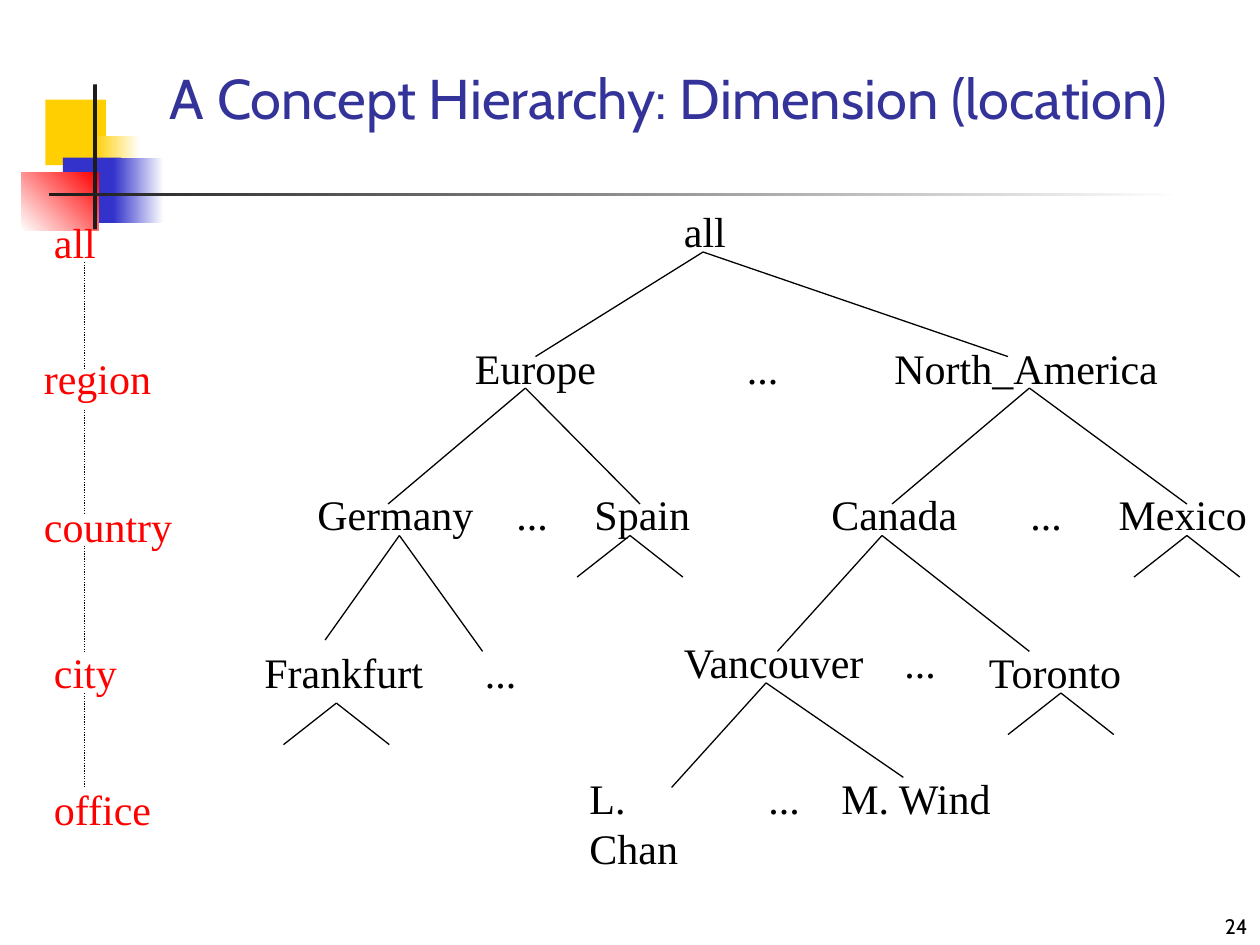
from lxml import etree
from pptx import Presentation
from pptx.dml.color import RGBColor
from pptx.enum import dml, shapes, text
from pptx.oxml.ns import qn
from pptx.util import Inches, Pt


def rgb(value):
    return RGBColor.from_string(value)


class HierarchySlide:
    title_font = "Cabin"
    label_font = "Times New Roman"
    black, red = "000000", "FF0000"

    def __init__(self, slide):
        self.s = slide

    def block(self, left, top, width, height, color, end=None, angle=0):
        sp = self.s.shapes.add_shape(
            shapes.MSO_SHAPE.RECTANGLE,
            Inches(left), Inches(top), Inches(width), Inches(height))
        sp.shadow.inherit = False
        sp.line.fill.background()
        if end is None:
            sp.fill.solid()
            sp.fill.fore_color.rgb = rgb(color)
            return
        sp.fill.gradient()
        sp.fill.gradient_angle = angle
        for stop, shade, position in zip(sp.fill.gradient_stops, (color, end), (0, 1)):
            stop.color.rgb = rgb(shade)
            stop.position = position

    def textbox(self, words, left, top, width, height, font, size, color,
                align=text.PP_ALIGN.LEFT, anchor=text.MSO_ANCHOR.BOTTOM, wrap=True):
        sp = self.s.shapes.add_textbox(
            Inches(left), Inches(top), Inches(width), Inches(height))
        tf = sp.text_frame
        tf.word_wrap = wrap
        tf.vertical_anchor = anchor
        p = tf.paragraphs[0]
        p.alignment = align
        r = p.add_run()
        r.text = words
        r.font.name = font
        r.font.size = Pt(size)
        r.font.color.rgb = rgb(color)
        return tf

    def label(self, words, left, top, width, color=black):
        tf = self.textbox(words, left, top, width, 0.5, self.label_font, 24, color,
                          anchor=text.MSO_ANCHOR.TOP, wrap=False)
        tf.auto_size = text.MSO_AUTO_SIZE.SHAPE_TO_FIT_TEXT

    def line(self, start, end, dash=None):
        x1, y1, x2, y2 = (Inches(v) for v in (*start, *end))
        c = self.s.shapes.add_connector(shapes.MSO_CONNECTOR.STRAIGHT, x1, y1, x2, y2)
        c.line.color.rgb = rgb(self.black)
        c.line.width = Pt(0.75)
        if dash:
            c.line.dash_style = dash
        etree.SubElement(c._element.spPr, qn("a:effectLst"))

    def fork(self, apex, *ends):
        for end in ends:
            self.line(apex, end)

    def stub(self, x, y):
        self.fork((x, y), (x - 0.42, y + 0.33), (x + 0.42, y + 0.33))


BLOCKS = [
    (0.36, 0.79, 0.48, 0.52, "FFCF01"),
    (0.75, 1.08, 0.36, 0.52, "FFCF01", "FFFFFF"),
    (0.5, 1.25, 0.46, 0.52, "3333CC"),
    (0.9, 1.25, 0.4, 0.52, "3333CC", "FFFFFF"),
    (0.17, 1.37, 0.61, 0.46, "FFFFFF", "FF0000", 45),
    (0.74, 0.67, 0.03, 1.15, "1C1C1C"),
    (0.39, 1.53, 9, 0.03, "1C1C1C", "FFFFFF"),
]
LEVELS = [
    ("all", 0.33, 1.67, 0.53),
    ("region", 0.25, 2.75, 1.05),
    ("country", 0.25, 3.92, 1.22),
    ("city", 0.33, 5.08, 0.7),
    ("office", 0.33, 6.17, 0.98),
]
LEVEL_LINKS = [(2.08, 2.92), (3.25, 4.08), (4.33, 5.17), (5.5, 6.25)]
NODES = [
    ("all", 5.33, 1.58, 0.53),
    ("Europe", 3.67, 2.67, 1.16),
    ("North_America", 7, 2.67, 2.29),
    ("Germany", 2.42, 3.83, 1.44),
    ("Spain", 4.62, 3.83, 0.96),
    ("Canada", 6.5, 3.83, 1.2),
    ("Mexico", 8.78, 3.83, 1.22),
    ("Frankfurt", 2, 5.08, 1.46),
    ("Vancouver", 5.33, 5, 1.66),
    ("Toronto", 7.75, 5.08, 1.27),
    ("L. Chan", 4.58, 6.08, 1.27),
    ("M. Wind", 6.58, 6.08, 1.4),
]
ELLIPSES = [(5.83, 2.67), (4, 3.83), (8.08, 3.83), (3.75, 5.08), (7.08, 5), (6, 6.08)]
FORKS = [
    ((5.58, 2), (4.25, 2.83), (8, 2.83)),
    ((4.17, 3.08), (3.08, 4), (5.08, 4)),
    ((8.17, 3.08), (7.08, 4), (9.42, 4)),
    ((3.17, 4.25), (2.58, 5.08), (3.83, 5.17)),
    ((7, 4.25), (6.17, 5.17), (8.17, 5.17)),
    ((6.08, 5.42), (5.33, 6.25), (7.17, 6.17)),
]
STUBS = [(5, 4.25), (9.42, 4.25), (2.67, 5.58), (8.42, 5.5)]


def main():
    prs = Presentation()
    prs.slide_width, prs.slide_height = Inches(10), Inches(7.5)
    page = HierarchySlide(prs.slides.add_slide(prs.slide_layouts[6]))

    for block in BLOCKS:
        page.block(*block)
    page.textbox("24", 7.92, 7, 2.08, 0.5, page.title_font, 12, page.black,
                 align=text.PP_ALIGN.RIGHT)
    page.textbox("A Concept Hierarchy: Dimension (location)", 1.25, 0.42, 8.75, 0.67,
                 page.title_font, 32, "333399")

    for node in NODES:
        page.label(*node)
    for left, top in ELLIPSES:
        page.label("...", left, top, 0.45)
    for fork in FORKS:
        page.fork(*fork)
    for stub in STUBS:
        page.stub(*stub)

    for level in LEVELS:
        page.label(*level, color=page.red)
    for top, bottom in LEVEL_LINKS:
        page.line((0.67, top), (0.67, bottom), dml.MSO_LINE.ROUND_DOT)

    prs.save("out.pptx")


if __name__ == "__main__":
    main()
